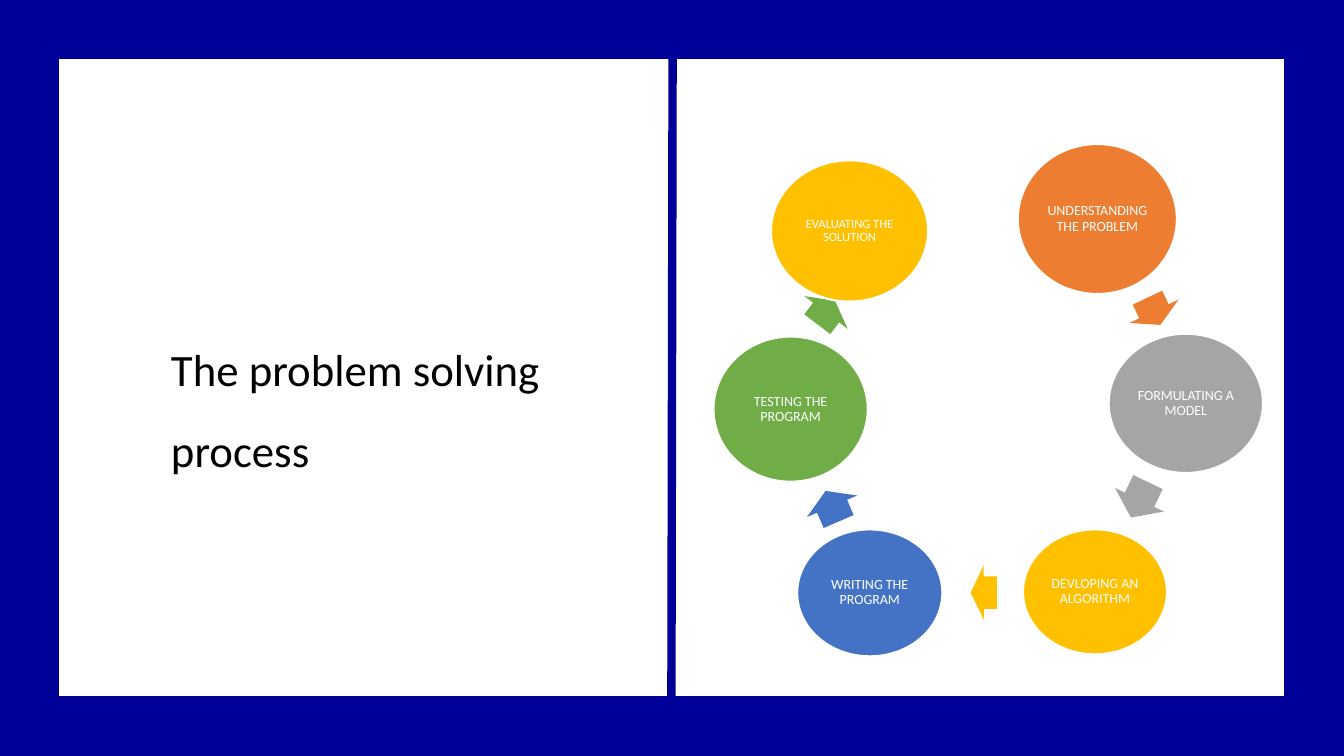
from dataclasses import dataclass

from lxml.etree import SubElement
from pptx import Presentation
from pptx.dml.color import RGBColor
from pptx.enum.shapes import MSO_CONNECTOR, MSO_SHAPE
from pptx.enum.text import MSO_ANCHOR, MSO_AUTO_SIZE, PP_ALIGN
from pptx.oxml.ns import qn
from pptx.util import Cm, Pt


@dataclass(frozen=True)
class Theme:
    font: str = "Calibri"
    navy: str = "000099"
    white: str = "FFFFFF"
    black: str = "000000"
    orange: str = "ED7D31"
    grey: str = "A5A5A5"
    gold: str = "FFC000"
    blue: str = "4472C4"
    green: str = "70AD47"
    title_size: int = 32
    step_size: int = 10
    small_size: int = 9


THEME = Theme()
SLIDE_W, SLIDE_H = Cm(33.87), Cm(19.05)
ARROW_H = 1.37

# Step: text, colour, type size, circle (left, top, width, height) in cm
# and the arrow to the next step (left, top, length in cm, rotation)
STEPS = [
    ("UNDERSTANDING THE PROBLEM", THEME.orange, THEME.step_size,
     (25.65, 3.63, 4.01, 3.78), (28.7, 7.16, 0.76, 64.6)),
    ("FORMULATING A MODEL", THEME.grey, THEME.step_size,
     (27.94, 8.41, 3.89, 3.51), (28.22, 11.91, 0.99, 115.7)),
    ("DEVLOPING AN ALGORITHM", THEME.gold, THEME.step_size,
     (25.78, 13.34, 3.63, 3.15), (24.46, 14.25, 0.66, 179.7)),
    ("WRITING THE PROGRAM", THEME.blue, THEME.step_size,
     (20.09, 13.34, 3.66, 3.2), (20.55, 12.07, 0.84, 246.8)),
    ("TESTING THE PROGRAM", THEME.green, THEME.step_size,
     (17.98, 8.48, 3.89, 3.66), (20.45, 7.19, 0.74, 307.2)),
    ("EVALUATING THE SOLUTION", THEME.gold, THEME.small_size,
     (19.43, 4.04, 3.96, 3.56), None),
]


def rgb(colour):
    return RGBColor.from_string(colour)


def set_line(line, colour, width):
    line.color.rgb = rgb(colour)
    line.width = Pt(width)


def format_text(p, size, colour, spacing):
    p.line_spacing = spacing
    for r in p.runs:
        r.font.name = THEME.font
        r.font.size = Pt(size)
        r.font.color.rgb = rgb(colour)


def add_frame(s):
    sp = s.shapes.add_shape(MSO_SHAPE.RECTANGLE, 0, 0, SLIDE_W, SLIDE_H)
    sp.shadow.inherit = False
    sp.fill.background()
    set_line(sp.line, THEME.navy, 85)


def add_divider(s):
    line = s.shapes.add_connector(
        MSO_CONNECTOR.STRAIGHT, Cm(16.95), Cm(1.42), Cm(16.92), Cm(17.6))
    set_line(line.line, THEME.navy, 6)
    SubElement(line._element.spPr, qn("a:effectLst"))


def add_title(s, text):
    sp = s.shapes.add_textbox(Cm(4.06), Cm(7.82), Cm(10.39), Cm(4.37))
    tf = sp.text_frame
    tf.word_wrap = True
    tf.auto_size = MSO_AUTO_SIZE.SHAPE_TO_FIT_TEXT
    tf.text = text
    format_text(tf.paragraphs[0], THEME.title_size, THEME.black, 1.5)


def add_step(s, text, colour, size, box):
    sp = s.shapes.add_shape(MSO_SHAPE.OVAL, *map(Cm, box))
    sp.shadow.inherit = False
    sp.fill.solid()
    sp.fill.fore_color.rgb = rgb(colour)
    set_line(sp.line, THEME.white, 1.5)
    tf = sp.text_frame
    tf.word_wrap = True
    tf.vertical_anchor = MSO_ANCHOR.MIDDLE
    tf.margin_left = tf.margin_right = Cm(0.03)
    tf.margin_top = tf.margin_bottom = Cm(0.03)
    tf.text = text
    p = tf.paragraphs[0]
    p.alignment = PP_ALIGN.CENTER
    format_text(p, size, THEME.white, 0.9)


def add_arrow(s, colour, left, top, length, rotation):
    sp = s.shapes.add_shape(
        MSO_SHAPE.RIGHT_ARROW, Cm(left), Cm(top), Cm(length), Cm(ARROW_H))
    sp.shadow.inherit = False
    sp.adjustments[0] = 0.6
    sp.adjustments[1] = 0.5
    sp.rotation = rotation
    sp.fill.solid()
    sp.fill.fore_color.rgb = rgb(colour)
    sp.line.fill.background()


def main():
    prs = Presentation()
    prs.slide_width, prs.slide_height = SLIDE_W, SLIDE_H
    s = prs.slides.add_slide(prs.slide_layouts[6])

    # Border and centre line
    add_frame(s)
    add_divider(s)

    # Cycle of steps
    for text, colour, size, box, arrow in STEPS:
        add_step(s, text, colour, size, box)
        if arrow:
            add_arrow(s, colour, *arrow)

    # Title
    add_title(s, "The problem solving process")

    prs.save("out.pptx")


if __name__ == "__main__":
    main()
